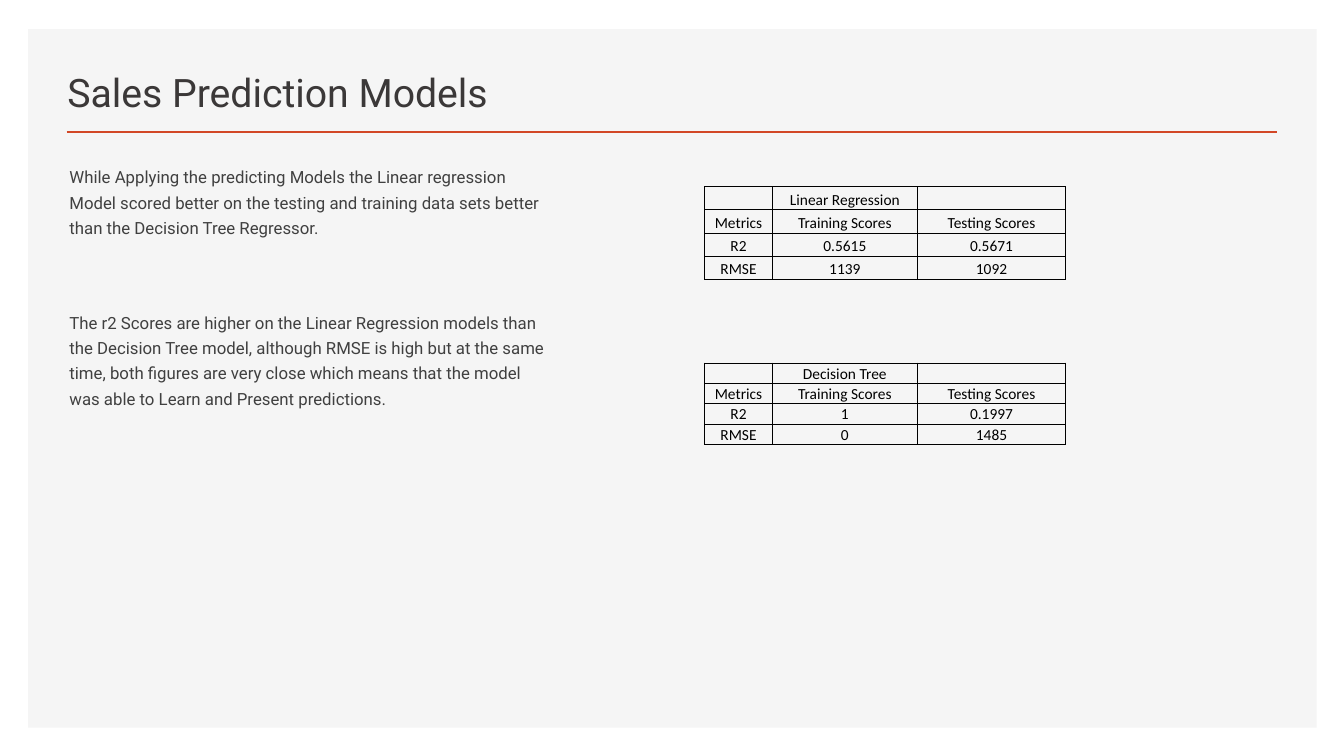
from dataclasses import dataclass

from lxml import etree
from pptx import Presentation
from pptx import util as u
from pptx.dml.color import RGBColor
from pptx.enum import shapes, text
from pptx.oxml.ns import qn
from pptx.slide import Slide
from pptx.table import _Cell
from pptx.text.text import Font, TextFrame


@dataclass(frozen=True)
class TypeStyle:
    name: str
    size: float
    color: str


@dataclass(frozen=True)
class Theme:
    panel: str = "F5F5F5"
    accent: str = "D24726"
    grid: str = "000000"
    grid_width: float = 0.5
    title: TypeStyle = TypeStyle("Roboto", 28, "3B3838")
    body: TypeStyle = TypeStyle("Roboto", 12, "404040")
    score: TypeStyle = TypeStyle("Calibri", 11, "000000")


@dataclass(frozen=True)
class ScoreTable:
    model: str
    top: float
    height: float
    r2: tuple[str, str]
    rmse: tuple[str, str]

    def rows(self) -> list[tuple[str, ...]]:
        return [
            ("", self.model, ""),
            ("Metrics", "Training Scores", "Testing Scores"),
            ("R2", *self.r2),
            ("RMSE", *self.rmse),
        ]


@dataclass(frozen=True)
class Finding:
    wording: str
    space_before: float


THEME = Theme()
TABLE_LEFT = 6.99
COLUMN_WIDTHS = (0.67, 1.44, 1.47)
SCORE_TABLES = (
    ScoreTable("Linear Regression", 1.85, 0.92, ("0.5615", "0.5671"), ("1139", "1092")),
    ScoreTable("Decision Tree", 3.6, 0.81, ("1", "0.1997"), ("0", "1485")),
)
FINDINGS = (
    Finding(
        "While Applying the predicting Models the Linear regression Model scored better "
        "on the testing and training data sets better than the Decision Tree Regressor.",
        10,
    ),
    Finding(
        "The r2 Scores are higher on the Linear Regression models than the Decision Tree "
        "model, although RMSE is high but at the same time, both figures are very close "
        "which means that the model was able to Learn and Present predictions.",
        44,
    ),
)


def apply_style(font: Font, style: TypeStyle) -> None:
    font.name = style.name
    font.size = u.Pt(style.size)
    font.color.rgb = RGBColor.from_string(style.color)


def add_text_area(slide: Slide, left: float, top: float, width: float, height: float) -> TextFrame:
    area = slide.shapes.add_textbox(
        u.Inches(left), u.Inches(top), u.Inches(width), u.Inches(height)
    ).text_frame
    area.word_wrap = True
    return area


def add_panel(slide: Slide) -> None:
    panel = slide.shapes.add_shape(
        shapes.MSO_SHAPE.RECTANGLE,
        u.Inches(0.28), u.Inches(0.29), u.Inches(12.78), u.Inches(6.93),
    )
    panel.shadow.inherit = False
    panel.fill.solid()
    panel.fill.fore_color.rgb = RGBColor.from_string(THEME.panel)
    panel.line.fill.background()


def add_title(slide: Slide) -> None:
    rule = slide.shapes.add_connector(
        shapes.MSO_CONNECTOR.STRAIGHT,
        u.Inches(0.66), u.Inches(1.31), u.Inches(12.67), u.Inches(1.31),
    )
    rule.line.color.rgb = RGBColor.from_string(THEME.accent)
    rule.line.width = u.Pt(2)
    etree.SubElement(rule._element.spPr, qn("a:effectLst"))

    title = add_text_area(slide, 0.57, 0.49, 7.52, 0.7)
    title.vertical_anchor = text.MSO_ANCHOR.BOTTOM
    title.text = "Sales Prediction Models"
    apply_style(title.paragraphs[0].font, THEME.title)


def add_findings(slide: Slide) -> None:
    body = add_text_area(slide, 0.59, 1.56, 4.98, 5.24)
    for index, finding in enumerate(FINDINGS):
        paragraph = body.add_paragraph() if index else body.paragraphs[0]
        paragraph.text = finding.wording
        paragraph.line_spacing = u.Pt(18)
        paragraph.space_before = u.Pt(finding.space_before)
        paragraph.space_after = u.Pt(6)
        apply_style(paragraph.font, THEME.body)


def add_borders(cell: _Cell) -> None:
    properties = cell._tc.get_or_add_tcPr()
    for position, side in enumerate(("lnL", "lnR", "lnT", "lnB")):
        border = etree.Element(qn(f"a:{side}"), w=str(u.Pt(THEME.grid_width)))
        fill = etree.SubElement(border, qn("a:solidFill"))
        etree.SubElement(fill, qn("a:srgbClr"), val=THEME.grid)
        properties.insert(position, border)


def fill_cell(cell: _Cell, wording: str) -> None:
    cell.margin_left = cell.margin_right = cell.margin_top = u.Inches(0.01)
    cell.margin_bottom = u.Inches(0)
    cell.vertical_anchor = text.MSO_ANCHOR.BOTTOM
    cell.fill.background()
    add_borders(cell)
    cell.text = wording
    paragraph = cell.text_frame.paragraphs[0]
    paragraph.alignment = text.PP_ALIGN.CENTER
    apply_style(paragraph.font, THEME.score)
    if not wording:
        ending = etree.SubElement(paragraph._p, qn("a:endParaRPr"))
        ending.set("sz", str(int(THEME.score.size * 100)))


def add_score_table(slide: Slide, scores: ScoreTable) -> None:
    rows = scores.rows()
    table = slide.shapes.add_table(
        len(rows), len(COLUMN_WIDTHS), u.Inches(TABLE_LEFT), u.Inches(scores.top),
        u.Inches(sum(COLUMN_WIDTHS)), u.Inches(scores.height),
    ).table
    table.first_row = table.horz_banding = False
    for column, width in zip(table.columns, COLUMN_WIDTHS):
        column.width = u.Inches(width)
    for row, wordings in zip(table.rows, rows):
        for cell, wording in zip(row.cells, wordings):
            fill_cell(cell, wording)


def main() -> None:
    deck = Presentation()
    deck.slide_width, deck.slide_height = u.Inches(13.33), u.Inches(7.5)
    slide = deck.slides.add_slide(deck.slide_layouts[6])
    add_panel(slide)
    add_title(slide)
    add_findings(slide)
    for scores in SCORE_TABLES:
        add_score_table(slide, scores)
    deck.save("out.pptx")


main()
